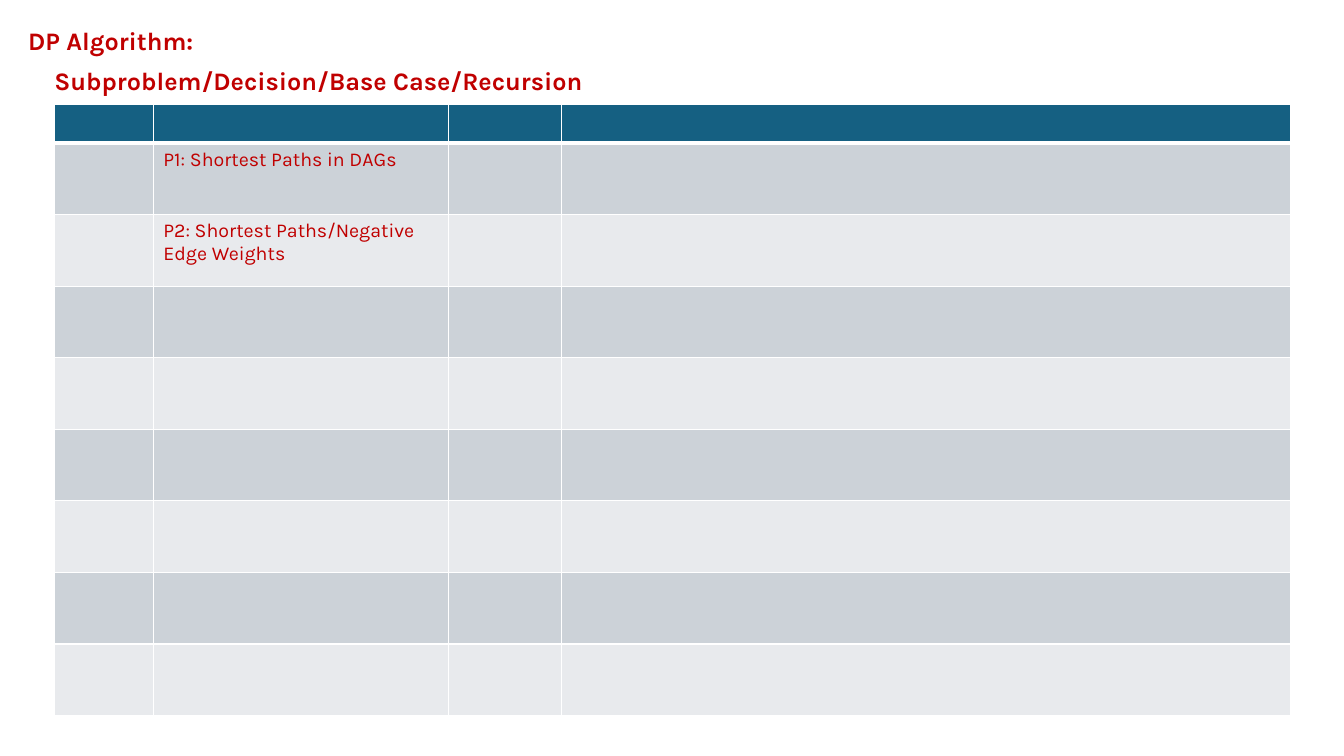
from lxml import etree
from pptx import Presentation
from pptx.dml.color import RGBColor
from pptx.enum.text import MSO_ANCHOR, PP_ALIGN
from pptx.oxml.ns import qn
from pptx.util import Inches, Pt

LEFT, TOP = PP_ALIGN.LEFT, MSO_ANCHOR.TOP
RED, WHITE, HEADER = "C00000", "FFFFFF", "156082"
BANDS = ["E8EAED", "CCD2D8"]
COLUMN_WIDTHS = [0.98, 2.93, 1.12, 7.23]
ROW_HEIGHTS = [0.38] + [0.71] * 8
PROBLEMS = ["", "P1: Shortest Paths in DAGs", "P2: Shortest Paths/Negative Edge Weights"]


def write(frame, text, size, bold=False):
    frame.word_wrap = True
    frame.vertical_anchor = TOP
    para = frame.paragraphs[0]
    para.text = text
    para.alignment = LEFT
    para.line_spacing = 1
    para.font.name = "Karla"
    para.font.size = Pt(size)
    para.font.bold = bold
    para.font.color.rgb = RGBColor.from_string(RED)


def add_border(cell, side, points):
    line = etree.SubElement(cell._tc.get_or_add_tcPr(), qn(f"a:ln{side}"), w=str(Pt(points)))
    fill = etree.SubElement(line, qn("a:solidFill"))
    etree.SubElement(fill, qn("a:srgbClr"), val=WHITE)


deck = Presentation()
deck.slide_width, deck.slide_height = Inches(13.33), Inches(7.5)
page = deck.slides.add_slide(deck.slide_layouts[5])

title = page.shapes.title
title.left, title.top, title.width, title.height = map(Inches, (0.18, 0.2, 8.38, 0.4))
write(title.text_frame, "DP Algorithm:", 18, True)

subtitle = page.shapes.add_textbox(*map(Inches, (0.44, 0.6, 8.38, 0.4)))
write(subtitle.text_frame, "Subproblem/Decision/Base Case/Recursion", 18, True)

table = page.shapes.add_table(
    len(ROW_HEIGHTS), len(COLUMN_WIDTHS), Inches(0.54), Inches(1.04),
    Inches(sum(COLUMN_WIDTHS)), Inches(sum(ROW_HEIGHTS))).table
for column, width in zip(table.columns, COLUMN_WIDTHS):
    column.width = Inches(width)

for index, (row, height) in enumerate(zip(table.rows, ROW_HEIGHTS)):
    row.height = Inches(height)
    for cell in row.cells:
        write(cell.text_frame, "", 14)
        for side in "LRTB":
            under_header = (index, side) in [(0, "B"), (1, "T")]
            add_border(cell, side, 3 if under_header else 1)
        cell.fill.solid()
        cell.fill.fore_color.rgb = RGBColor.from_string(BANDS[index % 2] if index else HEADER)

for index, problem in enumerate(PROBLEMS):
    write(table.cell(index, 1).text_frame, problem, 14)

deck.save("out.pptx")
